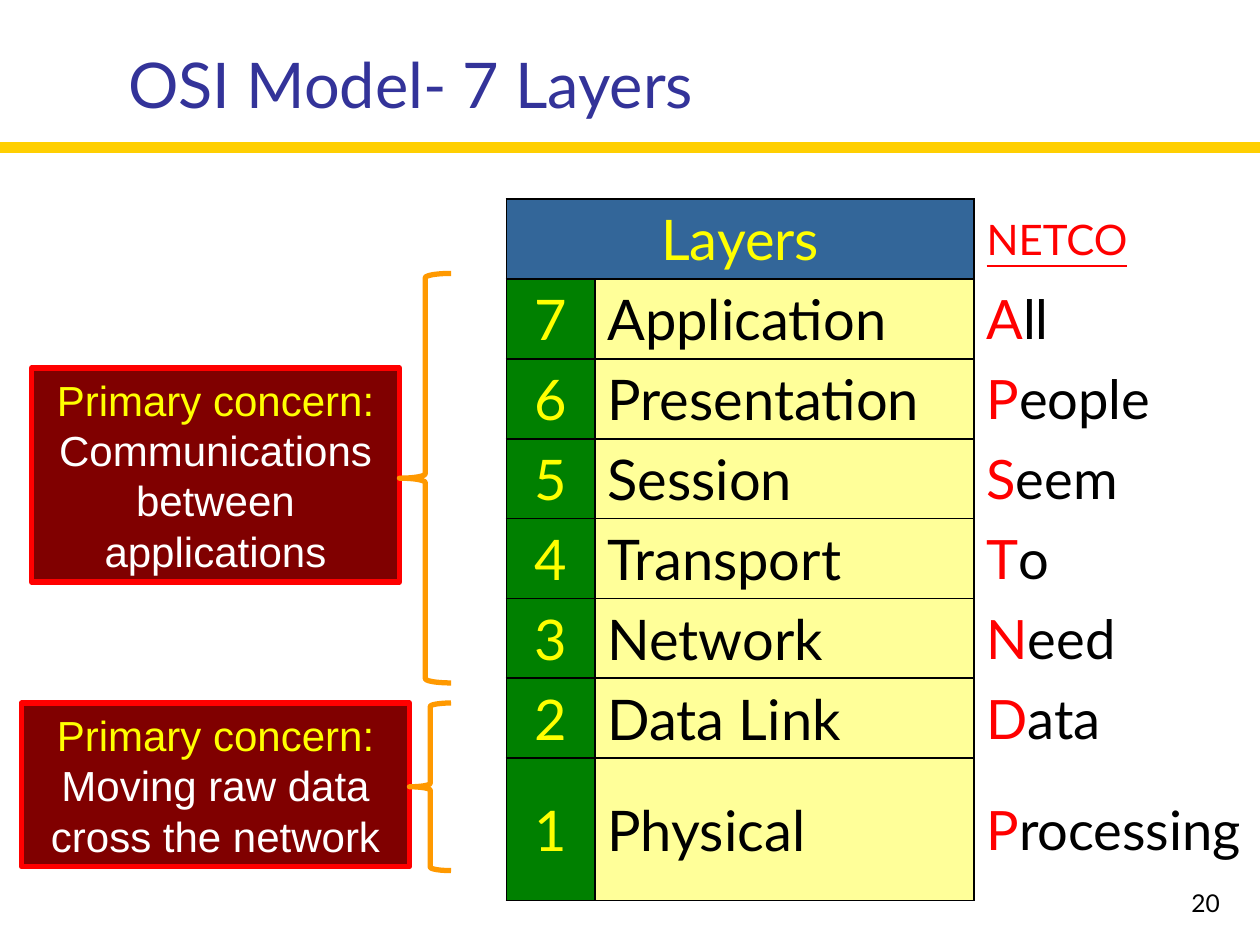
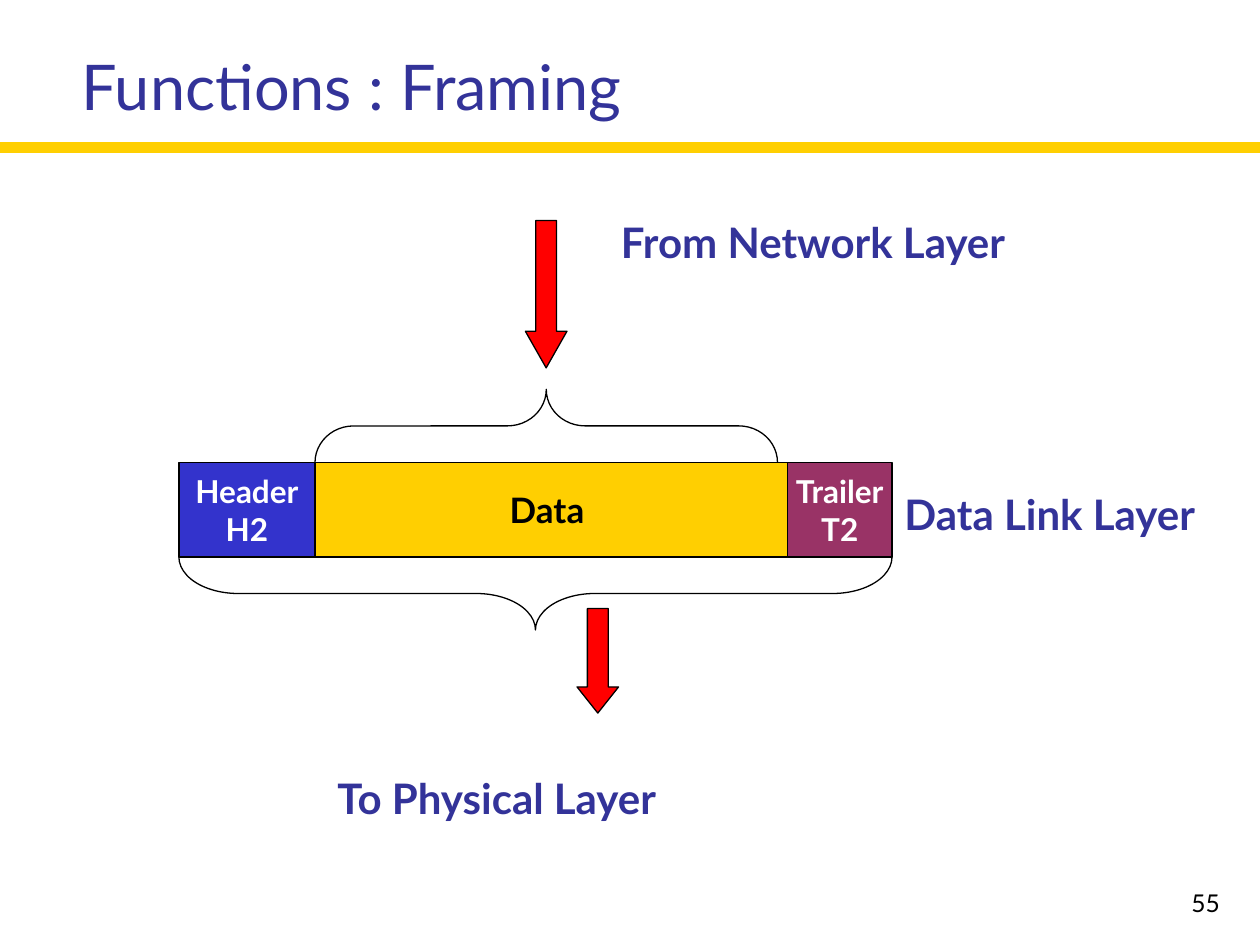
from dataclasses import dataclass

from lxml.etree import SubElement
from pptx import Presentation
from pptx.dml.color import RGBColor
from pptx.enum.shapes import MSO_CONNECTOR, MSO_SHAPE
from pptx.enum.text import MSO_ANCHOR, PP_ALIGN
from pptx.oxml import parse_xml
from pptx.oxml.ns import nsdecls, qn
from pptx.util import Inches, Pt


class Theme:
    BLACK, WHITE = "000000", "FFFFFF"
    INDIGO, GOLD, RED, YELLOW = "333399", "FFCF01", "FF0000", "FFFF00"
    STEEL, GREEN, CREAM = "336699", "008000", "FFFF99"
    MAROON, ORANGE, BLUE, PLUM = "800000", "FF9900", "3333CC", "993366"
    FONT, NOTE_FONT = "Lato", "Arial"
    TITLE, CELL, MNEMONIC, LABEL, DATA, END, NUMBER = 36, 32, 31, 24, 20, 18, 14
    BORDER, OUTLINE, HEAVY, RULE = 1.08, 0.75, 3, 6


@dataclass
class Box:
    left: float
    top: float
    width: float
    height: float

    def inner(self, across, down, width, height):
        """Box placed relative to this one's top left corner."""
        return Box(self.left + across, self.top + down, width, height)

    def lengths(self):
        return [Inches(value) for value in
                (self.left, self.top, self.width, self.height)]


def rgb(color):
    return RGBColor.from_string(color)


def write(frame, paragraphs, align=PP_ALIGN.LEFT, anchor=MSO_ANCHOR.TOP, wrap=True):
    """Fill a text frame; each paragraph is a list of (text, format) spans."""
    for name, value in {"word_wrap": wrap, "vertical_anchor": anchor}.items():
        setattr(frame, name, value)
    for index, spans in enumerate(paragraphs):
        para = frame.add_paragraph() if index else frame.paragraphs[0]
        para.alignment = align
        for text, style in spans:
            span = para.add_run()
            span.text = text
            for name, value in style.items():
                if name == "color":
                    span.font.color.rgb = rgb(value)
                else:
                    setattr(span.font, name, value)


def look(size, color, font=Theme.FONT, **extra):
    return {"size": Pt(size), "color": color, "name": font, **extra}


def add_text(page, box, text, style, **layout):
    frame = page.shapes.add_textbox(*box.lengths()).text_frame
    write(frame, [[(text, style)]], **layout)


def add_figure(page, kind, box, fill=None, line=Theme.BLACK,
               weight=Theme.OUTLINE, adjust=()):
    shape = page.shapes.add_shape(kind, *box.lengths())
    shape.shadow.inherit = False
    if fill:
        shape.fill.solid()
        shape.fill.fore_color.rgb = rgb(fill)
    else:
        shape.fill.background()
    shape.line.color.rgb = rgb(line)
    shape.line.width = Pt(weight)
    for index, value in enumerate(adjust):
        shape.adjustments[index] = value
    return shape


def add_flat_brace(page, box, rotation, curve):
    """Left brace turned so that it lies flat and fills the box."""
    upright = box.inner((box.width - box.height) / 2, (box.height - box.width) / 2,
                        box.height, box.width)
    brace = add_figure(page, MSO_SHAPE.LEFT_BRACE, upright, adjust=(curve, 0.5))
    brace.rotation = rotation


def start_page(deck, title, title_box, number):
    page = deck.slides.add_slide(deck.slide_layouts[6])
    rule = page.shapes.add_connector(MSO_CONNECTOR.STRAIGHT, 0, Inches(1.17),
                                     deck.slide_width, Inches(1.17))
    rule.line.color.rgb = rgb(Theme.GOLD)
    rule.line.width = Pt(Theme.RULE)
    SubElement(rule._element.spPr, qn("a:effectLst"))
    add_text(page, Box(7.7, 6.83, 2.08, 0.5), number, look(Theme.NUMBER, Theme.BLACK),
             align=PP_ALIGN.RIGHT, anchor=MSO_ANCHOR.BOTTOM)
    add_text(page, title_box, title, look(Theme.TITLE, Theme.INDIGO),
             anchor=MSO_ANCHOR.MIDDLE)
    return page


def set_borders(cell, sides):
    """Draw the listed sides of a cell in black and hide the others."""
    properties = cell._tc.get_or_add_tcPr()
    for index, side in enumerate("LRTB"):
        paint = (f'<a:solidFill><a:srgbClr val="{Theme.BLACK}"/></a:solidFill>'
                 if side in sides else "<a:noFill/>")
        properties.insert(index, parse_xml(
            f'<a:ln{side} {nsdecls("a")} w="{Pt(Theme.BORDER)}">{paint}</a:ln{side}>'))


def fill_cell(cell, spans, fill=None, align=PP_ALIGN.LEFT):
    if fill:
        cell.fill.solid()
        cell.fill.fore_color.rgb = rgb(fill)
    else:
        cell.fill.background()
    set_borders(cell, "LRTB" if fill else "L")
    cell.vertical_anchor = MSO_ANCHOR.MIDDLE
    write(cell.text_frame, [spans], align, MSO_ANCHOR.MIDDLE)


def add_layer_table(page, box):
    layers = [("Application", "All"), ("Presentation", "People"), ("Session", "Seem"),
              ("Transport", "To"), ("Network", "Need"), ("Data Link", "Data"),
              ("Physical", "Processing")]
    table = page.shapes.add_table(len(layers) + 1, 3, *box.lengths()).table
    for column, width in zip(table.columns, (0.7, 3.01, 2.27)):
        column.width = Inches(width)
    for row in table.rows:
        row.height = Inches(0.63)
    table.rows[len(layers)].height = Inches(1.13)

    bright = look(Theme.CELL, Theme.YELLOW)
    plain = look(Theme.CELL, Theme.BLACK)
    initial = look(Theme.MNEMONIC, Theme.RED)
    rest = look(Theme.MNEMONIC, Theme.BLACK)
    fill_cell(table.cell(0, 0), [("Layers", bright)], Theme.STEEL, PP_ALIGN.CENTER)
    fill_cell(table.cell(0, 1), [], Theme.STEEL)
    table.cell(0, 0).merge(table.cell(0, 1))
    fill_cell(table.cell(0, 2),
              [("NETCO", look(Theme.LABEL, Theme.RED, underline=True))])
    for row, (layer, word) in enumerate(layers, 1):
        number = str(len(layers) + 1 - row)
        fill_cell(table.cell(row, 0), [(number, bright)], Theme.GREEN, PP_ALIGN.CENTER)
        fill_cell(table.cell(row, 1), [(layer, plain)], Theme.CREAM)
        fill_cell(table.cell(row, 2), [(word[0], initial), (word[1:], rest)])


def add_concern(page, box, note, message):
    """Note at the left of the box; a brace fills the width that remains."""
    panel = add_figure(page, MSO_SHAPE.RECTANGLE, note, Theme.MAROON,
                       Theme.RED, Theme.HEAVY)
    write(panel.text_frame,
          [[("Primary concern: ", look(Theme.LABEL, Theme.YELLOW, Theme.NOTE_FONT)),
            (message, look(Theme.LABEL, Theme.WHITE, Theme.NOTE_FONT))]],
          PP_ALIGN.CENTER)
    brace = box.inner(note.width, 0, box.width - note.width, box.height)
    add_figure(page, MSO_SHAPE.LEFT_BRACE, brace, line=Theme.ORANGE, weight=Theme.HEAVY)


def add_frame_bar(page, box):
    """Header, data and trailer side by side, with a brace above and below."""
    brace_height = 0.58
    white = look(Theme.END, Theme.WHITE, bold=True)
    black = look(Theme.DATA, Theme.BLACK, bold=True)
    fields = [(1.08, Theme.BLUE, ["Header", "H2"], white),
              (3.75, Theme.GOLD, ["Data "], black),
              (0.83, Theme.PLUM, ["Trailer", "T2"], white)]
    across = 0
    for width, fill, lines, style in fields:
        field = add_figure(page, MSO_SHAPE.RECTANGLE,
                           box.inner(across, 0, width, box.height), fill)
        write(field.text_frame, [[(line, style)] for line in lines],
              PP_ALIGN.CENTER, MSO_ANCHOR.MIDDLE, wrap=False)
        across += width
    add_flat_brace(page, box.inner(fields[0][0], -brace_height, 3.67, brace_height),
                   90, 0.53)
    add_flat_brace(page, box.inner(0, box.height, box.width, brace_height), 270, 0.81)


def add_framing(page, box):
    add_frame_bar(page, box.inner(0, 2, 5.66, 0.75))
    for across, down, height, head in [(2.75, 0.08, 1.17, 0.88), (3.16, 3.16, 0.83, 0.63)]:
        add_figure(page, MSO_SHAPE.DOWN_ARROW, box.inner(across, down, 0.33, height),
                   Theme.RED, adjust=(0.5, head))
    for text, across, down, width in [("From Network Layer", 3.41, 0, 3.75),
                                      ("Data Link Layer", 5.66, 2.16, 2.92),
                                      ("To Physical Layer", 1.16, 4.41, 3.75)]:
        add_text(page, box.inner(across, down, width, 0.5), text,
                 look(Theme.LABEL, Theme.INDIGO, bold=True))


def build_layers_page(deck):
    page = start_page(deck, "OSI Model- 7 Layers", Box(0.92, 0.25, 8.52, 0.83), "20")
    add_layer_table(page, Box(4.02, 1.58, 5.98, 5.42))
    upper, lower = Box(0.25, 2.17, 3.33, 3.25), Box(0.17, 5.58, 3.41, 1.33)
    add_concern(page, upper, upper.inner(0, 0.75, 2.92, 1.7),
                "Communications between applications")
    add_concern(page, lower, lower.inner(0, 0, 3.08, 1.3),
                "Moving raw data cross the network")


def build_framing_page(deck):
    page = start_page(deck, "Functions : Framing", Box(0.55, 0.33, 4.83, 0.7), "55")
    add_framing(page, Box(1.42, 1.67, 8.58, 4.91))


def main():
    deck = Presentation()
    deck.slide_width, deck.slide_height = Inches(10), Inches(7.5)
    build_layers_page(deck)
    build_framing_page(deck)
    deck.save("out.pptx")


if __name__ == "__main__":
    main()
